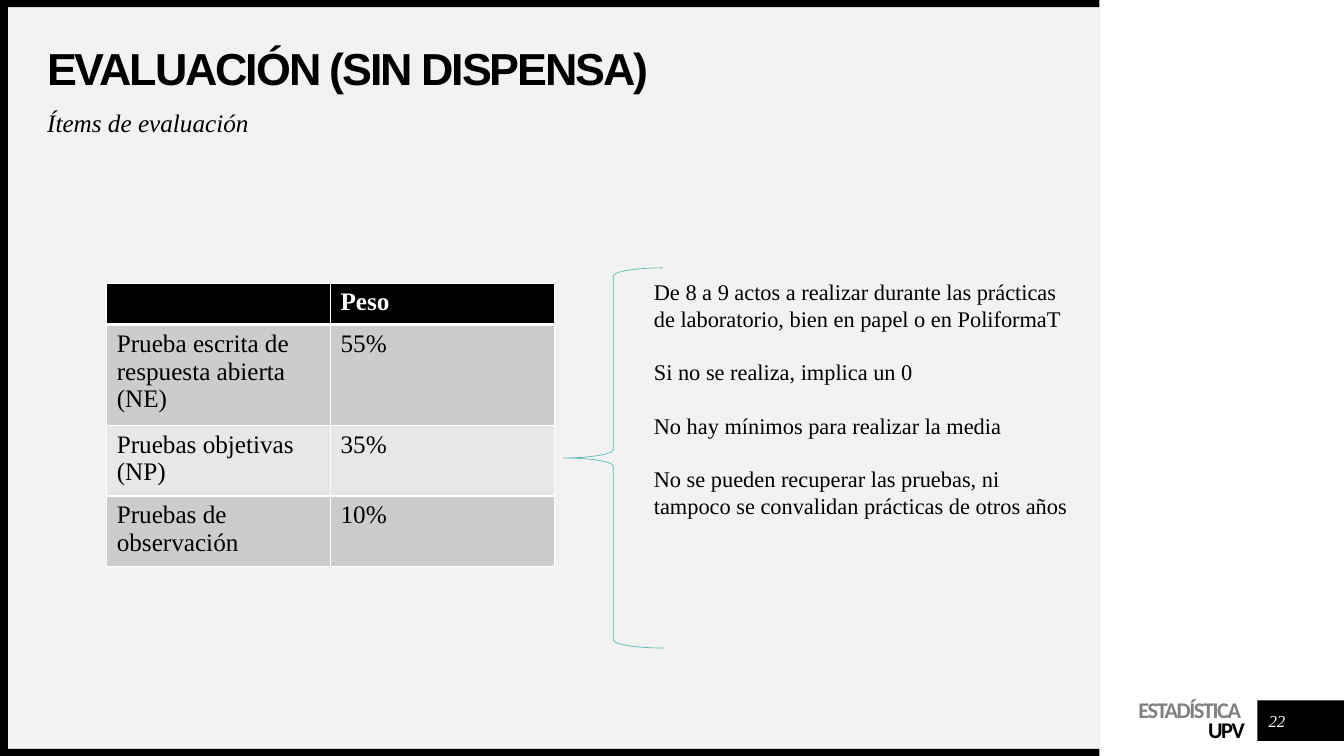
from lxml.etree import SubElement
from pptx import Presentation
from pptx.dml.color import RGBColor
from pptx.enum.shapes import MSO_SHAPE as Preset
from pptx.enum.text import MSO_ANCHOR as Anchor, PP_ALIGN as Align
from pptx.oxml.ns import qn
from pptx.util import Cm, Pt

COLORS = {
    "black": "000000", "white": "FFFFFF", "panel": "F2F2F2", "grey": "808080",
    "odd row": "CCCCCC", "even row": "E7E7E7", "brace": "5CB8B3",
}
SERIF = "Times New Roman"

# Content: lengths in centimetres as left, top, width, height
SLIDE_SIZE = (33.87, 19.05)
BLOCKS = [
    ((0.2, 0.18, 27.53, 18.69), "panel"),
    ((31.69, 17.65, 2.18, 1.02), "black"),
    ((0, 18.87, 27.71, 0.18), "black"),
    ((0, 0, 27.71, 0.18), "black"),
    ((0, 0, 0.2, 19.05), "black"),
]
TITLE = "EVALUACIÓN (SIN DISPENSA)"
SUBTITLE = "Ítems de evaluación"
FOOTER = [("ESTADÍSTICA ", "grey"), ("UPV", "black")]
PAGE_NUMBER = "22"
WEIGHTS = [
    ("", "Peso"),
    ("Prueba escrita de respuesta abierta (NE)", "55%"),
    ("Pruebas objetivas (NP)", "35%"),
    ("Pruebas de observación", "10%"),
]
NOTES = [
    "De 8 a 9 actos a realizar durante las prácticas de laboratorio, bien en papel o en PoliformaT",
    "Si no se realiza, implica un 0",
    "No hay mínimos para realizar la media",
    "No se pueden recuperar las pruebas, ni tampoco se convalidan prácticas de otros años",
]
TABLE_BOX = (2.69, 7.14, 11.28, 4.16)
BRACE_BOX = (14.2, 6.75, 2.51, 9.58)

# Text formats
TITLE_FORMAT = {"name": "Arial", "size": Pt(32), "bold": True}
SUBTITLE_FORMAT = {"name": SERIF, "size": Pt(18), "italic": True}
FOOTER_FORMAT = {"name": "Calibri", "size": Pt(16), "bold": True}
NUMBER_FORMAT = {"name": SERIF, "size": Pt(12), "italic": True}
CELL_FORMAT = {"name": SERIF, "size": Pt(18)}
NOTE_FORMAT = {"name": SERIF, "size": Pt(16)}


def color(name):
    return RGBColor.from_string(COLORS[name])


def place(box):
    return [Cm(length) for length in box]


def set_all(target, values):
    for name, value in values.items():
        setattr(target, name, value)


def write(paragraph, text, font_format, font_color="black", spacing=None, **layout):
    set_all(paragraph, layout)
    run = paragraph.add_run()
    run.text = text
    set_all(run.font, font_format)
    run.font.color.rgb = color(font_color)
    if spacing is not None:
        run._r.get_or_add_rPr().set("spc", str(spacing))


def add_text(slide, box, lines, font_format, frame_format=None, gap=0, **layout):
    frame = slide.shapes.add_textbox(*place(box)).text_frame
    margins = dict.fromkeys(("margin_left", "margin_top", "margin_right", "margin_bottom"), 0)
    set_all(frame, {"word_wrap": True, **margins, **(frame_format or {})})
    for index, (text, font_color) in enumerate(lines):
        paragraph = frame.add_paragraph() if index else frame.paragraphs[0]
        if index and gap:
            paragraph.space_before = Pt(gap)
        write(paragraph, text, font_format, font_color, **layout)


def add_borders(cell, bottom_width):
    properties = cell._tc.get_or_add_tcPr()
    for side, width in (("L", 1), ("R", 1), ("T", 1), ("B", bottom_width)):
        line = SubElement(properties, qn(f"a:ln{side}"), w=str(Pt(width)))
        fill = SubElement(line, qn("a:solidFill"))
        SubElement(fill, qn("a:srgbClr"), val=COLORS["white"])


def add_weights(slide):
    table = slide.shapes.add_table(len(WEIGHTS), len(WEIGHTS[0]), *place(TABLE_BOX)).table
    for row, texts in enumerate(WEIGHTS):
        header = row == 0
        fill = "black" if header else "odd row" if row % 2 else "even row"
        for column, text in enumerate(texts):
            cell = table.cell(row, column)
            add_borders(cell, 3 if header else 1)
            cell.fill.solid()
            cell.fill.fore_color.rgb = color(fill)
            if text:
                write(cell.text_frame.paragraphs[0], text, {**CELL_FORMAT, "bold": header},
                      "white" if header else "black")


def main():
    presentation = Presentation()
    presentation.slide_width, presentation.slide_height = place(SLIDE_SIZE)
    slide = presentation.slides.add_slide(presentation.slide_layouts[6])

    # Panel, frame and number block
    for box, fill in BLOCKS:
        shape = slide.shapes.add_shape(Preset.RECTANGLE, *place(box))
        shape.shadow.inherit = False
        shape.fill.solid()
        shape.fill.fore_color.rgb = color(fill)
        shape.line.fill.background()

    # Footer and page number
    add_text(slide, (26.75, 17.63, 4.62, 1.12), FOOTER, FOOTER_FORMAT, {"margin_top": Cm(0.1)},
             alignment=Align.RIGHT, line_spacing=Pt(14), spacing=-100)
    add_text(slide, (31.8, 17.78, 0.76, 0.76), [(PAGE_NUMBER, "white")], NUMBER_FORMAT,
             {"vertical_anchor": Anchor.MIDDLE}, alignment=Align.CENTER)

    # Headings
    add_text(slide, (1.19, 1.19, 25.55, 1.19), [(TITLE, "black")], TITLE_FORMAT,
             {"vertical_anchor": Anchor.MIDDLE}, line_spacing=0.9, spacing=-150)
    add_text(slide, (1.19, 2.79, 25.55, 0.99), [(SUBTITLE, "black")], SUBTITLE_FORMAT,
             line_spacing=0.9)

    # Weights, brace and notes
    add_weights(slide)
    brace = slide.shapes.add_shape(Preset.LEFT_BRACE, *place(BRACE_BOX))
    brace.shadow.inherit = False
    brace.fill.background()
    brace.line.color.rgb = color("brace")
    brace.line.width = Pt(0.5)
    note_margins = {"margin_left": Cm(0.25), "margin_right": Cm(0.25),
                    "margin_top": Cm(0.13), "margin_bottom": Cm(0.13)}
    add_text(slide, (16.23, 6.88, 11.02, 6.4), [(note, "black") for note in NOTES],
             NOTE_FORMAT, note_margins, gap=19)

    presentation.save("out.pptx")


if __name__ == "__main__":
    main()
